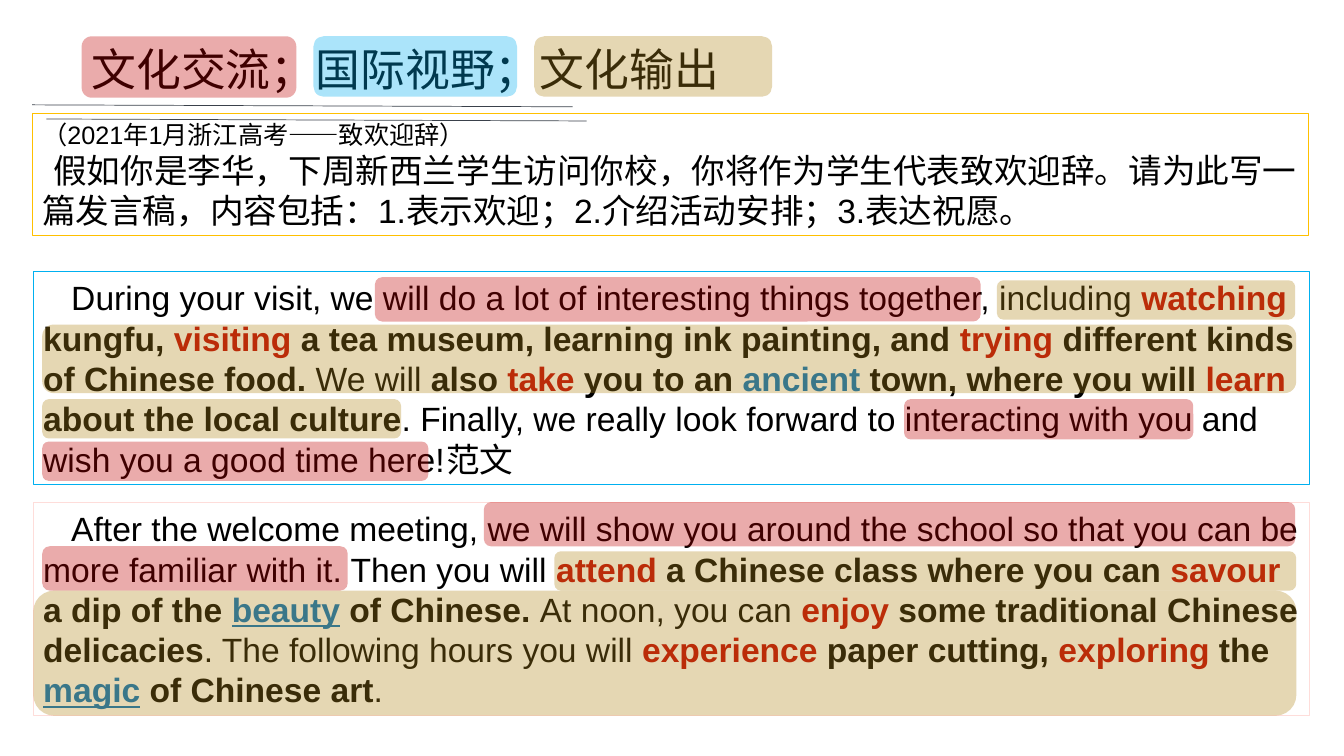
from lxml.etree import SubElement
from pptx import Presentation
from pptx.dml.color import RGBColor
from pptx.enum.shapes import MSO_CONNECTOR, MSO_SHAPE
from pptx.enum.text import MSO_ANCHOR, MSO_AUTO_SIZE, PP_ALIGN
from pptx.oxml.ns import qn
from pptx.util import Pt

COLORS = {
    "text": "000000", "verb": "C00000", "word": "0070C0",
    "red": "C00000", "blue": "00B0F0", "tan": "B2871B",
    "rule": "3A414B", "task": "FFC000", "visit": "00B0F0", "welcome": "FEDDDA",
}
STYLES = {
    "plain": ("text", False, False),
    "bold": ("text", True, False),
    "verb": ("verb", True, False),
    "word": ("word", True, False),
    "link": ("word", True, True),
}

TITLE = "文化交流；国际视野；文化输出"
TASK = [
    (18, 0, [("（2021年1月浙江高考——致欢迎辞）", "plain")]),
    (24, 8, [("假如你是李华，下周新西兰学生访问你校，你将作为学生代表致欢迎辞。"
              "请为此写一篇发言稿，内容包括：1.表示欢迎；2.介绍活动安排；3.表达祝愿。", "plain")]),
]
VISIT = [(24, 20, [
    ("During your visit, we will do a lot of interesting things together, including ", "plain"),
    ("watching", "verb"), (" kungfu, ", "bold"), ("visiting ", "verb"),
    ("a tea museum, learning ink painting, and ", "bold"), ("trying", "verb"),
    (" different kinds of Chinese food.", "bold"), (" We will ", "plain"),
    ("also ", "bold"), ("take", "verb"), (" you to an ", "bold"),
    ("ancient", "word"), (" town, where you will ", "bold"), ("learn", "verb"),
    (" about the local culture", "bold"),
    (". Finally, we really look forward to interacting with you "
     "and wish you a good time here!\t范文", "plain"),
])]
WELCOME = [(24, 20, [
    ("After the welcome meeting, we will show you around the school so that "
     "you can be more familiar with it. Then you will ", "plain"),
    ("attend", "verb"), (" a Chinese class where you can ", "bold"),
    ("savour", "verb"), (" a dip of the ", "bold"), ("beauty", "link"),
    (" of Chinese. ", "bold"), ("At noon, you can ", "plain"), ("enjoy", "verb"),
    (" some traditional Chinese delicacies", "bold"),
    (". The following hours you will ", "plain"), ("experience", "verb"),
    (" paper cutting, ", "bold"), ("exploring", "verb"), (" the ", "bold"),
    ("magic", "link"), (" of Chinese art", "bold"), (".", "plain"),
])]
HIGHLIGHTS = [
    ("tan", 381.6, 25.9, 169.9, 43.2),
    ("blue", 223.9, 25.9, 145.4, 43.2),
    ("red", 58.3, 25.9, 153.4, 43.9),
    ("red", 267.8, 198, 432.7, 31.7),
    ("red", 345.6, 358.6, 579.6, 31.7),
    ("red", 30.2, 390.2, 218.2, 31.7),
    ("tan", 396, 393.8, 529.9, 28.1),
    ("tan", 23.8, 421.9, 902.2, 89.3),
    ("tan", 30.2, 231.8, 895.7, 49),
    ("tan", 712.1, 200.2, 213.1, 28.1),
    ("tan", 30.2, 285.1, 256.3, 28.1),
    ("red", 645.8, 285.1, 206.6, 28.8),
    ("red", 30.2, 315.4, 275.8, 28.1),
]


class SlideBuilder:
    font_name = "Arial"
    line_ratio = 1.2

    def __init__(self, page):
        self.page = page

    def color(self, name):
        return RGBColor.from_string(COLORS[name])

    def set_font(self, font, size):
        font.name = self.font_name
        font.size = Pt(size)
        font.color.rgb = self.color("text")

    def title(self, text, left, top, width, height, size, indent):
        box = self.page.shapes.title
        box.left, box.top, box.width, box.height = map(Pt, (left, top, width, height))
        frame = box.text_frame
        frame.text = text
        frame.word_wrap = True
        frame.auto_size = MSO_AUTO_SIZE.NONE
        frame.vertical_anchor = MSO_ANCHOR.TOP
        para = frame.paragraphs[0]
        para.alignment = PP_ALIGN.LEFT
        para._p.get_or_add_pPr().set("indent", str(Pt(indent)))
        self.set_font(para.font, size)
        self.set_font(para.runs[0].font, size)

    def rule(self, left, top, right, bottom):
        line = self.page.shapes.add_connector(
            MSO_CONNECTOR.STRAIGHT, *map(Pt, (left, top, right, bottom)))
        line.line.color.rgb = self.color("rule")
        line.line.width = Pt(0.5)
        SubElement(line._element.spPr, qn("a:effectLst"))

    def passage(self, paragraphs, border, left, top, width, height, tab=None):
        box = self.page.shapes.add_shape(
            MSO_SHAPE.RECTANGLE, *map(Pt, (left, top, width, height)))
        box.shadow.inherit = False
        box.fill.background()
        box.line.color.rgb = self.color(border)
        box.line.width = Pt(0.75)
        frame = box.text_frame
        frame.word_wrap = True
        frame.vertical_anchor = MSO_ANCHOR.MIDDLE
        for index, (size, indent, spans) in enumerate(paragraphs):
            para = frame.add_paragraph() if index else frame.paragraphs[0]
            para.alignment = PP_ALIGN.LEFT
            para.line_spacing = Pt(size * self.line_ratio)
            properties = para._p.get_or_add_pPr()
            properties.set("indent", str(Pt(indent)))
            if tab:
                tabs = SubElement(properties, qn("a:tabLst"))
                SubElement(tabs, qn("a:tab"), pos=str(Pt(tab)), algn="l")
            self.set_font(para.font, size)
            for text, style in spans:
                self.span(para, text, style, size)

    def span(self, para, text, style, size):
        color, bold, underline = STYLES[style]
        span = para.add_run()
        span.text = text
        self.set_font(span.font, size)
        span.font.color.rgb = self.color(color)
        span.font.bold = bold
        span.font.underline = underline

    def highlight(self, color, left, top, width, height):
        marker = self.page.shapes.add_shape(
            MSO_SHAPE.FLOWCHART_ALTERNATE_PROCESS, *map(Pt, (left, top, width, height)))
        marker.shadow.inherit = False
        marker.fill.solid()
        marker.fill.fore_color.rgb = self.color(color)
        fill_color = marker._element.spPr.find(qn("a:solidFill"))[0]
        SubElement(fill_color, qn("a:alpha"), val="33000")
        marker.line.fill.background()


def main():
    deck = Presentation()
    deck.slide_width, deck.slide_height = Pt(960), Pt(540)
    builder = SlideBuilder(deck.slides.add_slide(deck.slide_layouts[5]))
    builder.title(TITLE, 30.2, 25.9, 671, 46.1, size=32, indent=28)
    builder.rule(23, 74.9, 409, 76.3)
    builder.passage(VISIT, "visit", 23.8, 193.7, 911.5, 152.6, tab=346)
    builder.passage(WELCOME, "welcome", 23.8, 358.6, 911.5, 152.6)
    builder.passage(TASK, "task", 23, 81.4, 911.5, 87.1)
    builder.rule(33.1, 85, 419, 86.4)
    for marker in HIGHLIGHTS:
        builder.highlight(*marker)
    deck.save("out.pptx")


if __name__ == "__main__":
    main()
